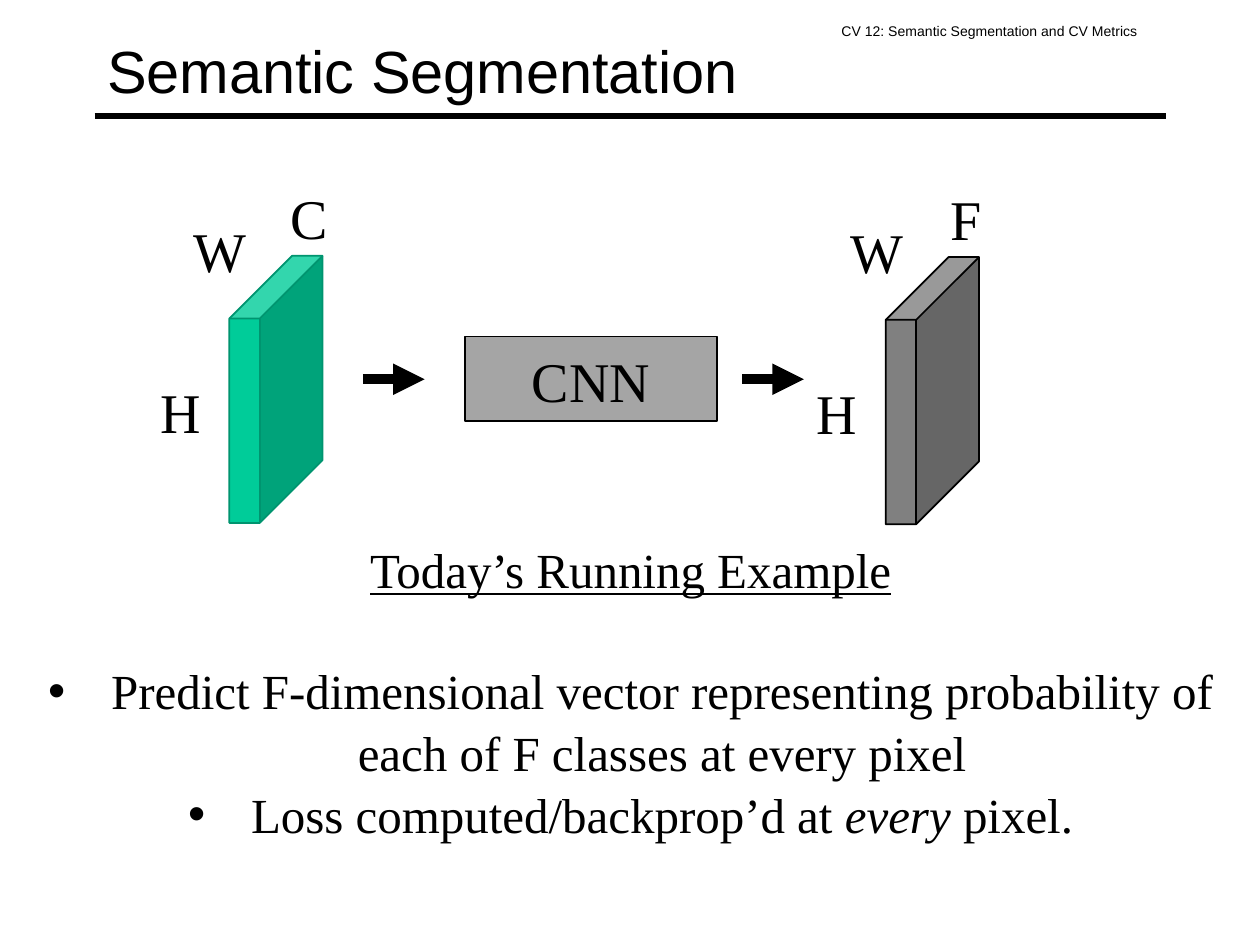
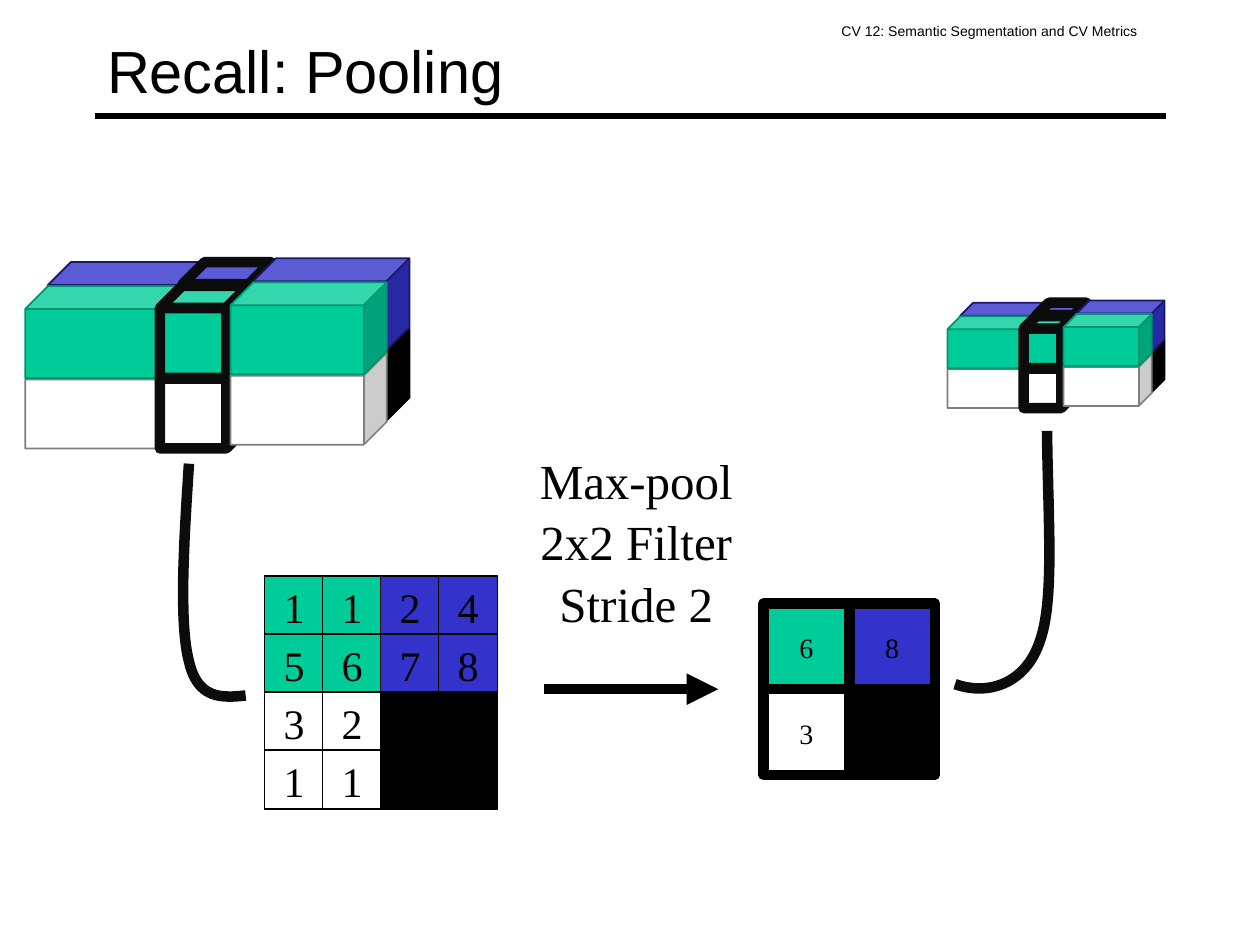
from dataclasses import dataclass

from lxml import etree
from pptx import Presentation
from pptx.dml.color import RGBColor
from pptx.enum.shapes import MSO_CONNECTOR as CONN, MSO_SHAPE as SHAPE
from pptx.enum.text import MSO_ANCHOR as ANCHOR, MSO_AUTO_SIZE as AUTO, PP_ALIGN as ALIGN
from pptx.oxml.ns import qn
from pptx.util import Emu, Pt

PX = 9144
SERIF, SANS = "Times New Roman", "Arial"
BLACK, WHITE, INK = "000000", "FFFFFF", "0C0C0C"
GREEN, BLUE = "00CC99", "3333CC"
EDGE = {GREEN: "00946F", BLUE: "191966", WHITE: "7F7F7F", BLACK: BLACK}
QUADRANTS = ((GREEN, BLUE), (WHITE, BLACK))
HEADER = "CV 12: Semantic Segmentation and CV Metrics"


@dataclass(frozen=True)
class Volume:
    x: int
    y: int
    channels: str
    fill: str
    line: str


@dataclass(frozen=True)
class Grid:
    x: int
    y: int
    pitch: int
    side: int
    size: int
    weight: int
    rows: tuple


@dataclass(frozen=True)
class Stack:
    x: int
    y: int
    scale: float


@dataclass(frozen=True)
class Column:
    dx: int
    dy: int
    width: int
    outlined: bool


VOLUMES = (
    Volume(117, 138, "C", GREEN, EDGE[GREEN]),
    Volume(638, 139, "F", "808080", BLACK),
)
GRIDS = (
    Grid(606, 479, 68, 68, 16, 6, ("68", "3 ")),
    Grid(210, 457, 46, 47, 24, 1, ("1124", "5678", "32  ", "11  ")),
)
STACKS = (Stack(20, 227, 1), Stack(752, 251, 0.565))
COLUMNS = (
    Column(0, 0, 124, False),
    Column(107, 0, 70, True),
    Column(163, -3, 124, False),
)
CURVES = (
    ((150, 368), (146, 431), (142, 494), (150, 525),
     (157, 555), (176, 554), (195, 552)),
    ((758, 543), (783, 552), (813, 544), (825, 510),
     (837, 477), (832, 418), (831, 342)),
)


def px(n: float) -> Emu:
    return Emu(round(n * PX))


def rgb(code: str) -> RGBColor:
    return RGBColor.from_string(code)


def stroke(line, color: str, weight: float) -> None:
    line.color.rgb = rgb(color)
    line.width = Pt(weight)


def add_run(p, text: str, size: int, font: str = SERIF, color: str = BLACK,
            italic: bool = False, underline: bool = False) -> None:
    r = p.add_run()
    r.text = text
    f = r.font
    f.name, f.size, f.italic, f.underline = font, Pt(size), italic, underline
    f.color.rgb = rgb(color)


def write(tf, lines, align=ALIGN.CENTER, anchor=ANCHOR.TOP, inset: int = 5,
          spacing: float = 1.05, **fmt) -> None:
    tf.word_wrap = True
    tf.auto_size = AUTO.NONE
    tf.vertical_anchor = anchor
    tf.margin_left = tf.margin_right = px(10)
    tf.margin_top = tf.margin_bottom = px(inset)
    for i, line in enumerate(lines):
        p = tf.add_paragraph() if i else tf.paragraphs[0]
        p.alignment = align
        p.line_spacing = spacing
        p.space_before = Pt(0)
        add_run(p, line, **fmt)


def place(sp, x: float, y: float, w: float, h: float) -> None:
    sp.left, sp.top, sp.width, sp.height = map(px, (x, y, w, h))


def add_text(s, x: int, y: int, w: int, h: int, *lines: str, **fmt) -> None:
    write(s.shapes.add_textbox(*map(px, (x, y, w, h))).text_frame, lines, **fmt)


def add_box(s, kind, x: float, y: float, w: float, h: float, fill: str,
            line: str, weight: float = 1):
    sp = s.shapes.add_shape(kind, *map(px, (x, y, w, h)))
    sp.shadow.inherit = False
    sp.fill.solid()
    sp.fill.fore_color.rgb = rgb(fill)
    stroke(sp.line, line, weight)
    return sp


def add_cube(s, *box, depth: float = 0.25, **look) -> None:
    add_box(s, SHAPE.CUBE, *box, **look).adjustments[0] = depth


def add_line(s, x1: int, x2: int, y: int, weight: float, arrow: bool = False) -> None:
    c = s.shapes.add_connector(CONN.STRAIGHT, px(x1), px(y), px(x2), px(y))
    stroke(c.line, BLACK, weight)
    if arrow:
        etree.SubElement(c.line._get_or_add_ln(), qn("a:tailEnd"), type="triangle")
    etree.SubElement(c._element.spPr, qn("a:effectLst"))


def bezier(points, t: float) -> tuple[int, int]:
    weights = ((1 - t) ** 3, 3 * t * (1 - t) ** 2, 3 * t * t * (1 - t), t ** 3)
    x, y = (sum(w * p[k] for w, p in zip(weights, points)) for k in (0, 1))
    return px(x), px(y)


def add_curve(s, points, steps: int = 24) -> None:
    samples = [bezier(points[i:i + 4], n / steps)
               for i in range(0, len(points) - 1, 3) for n in range(1, steps + 1)]
    fb = s.shapes.build_freeform(*map(px, points[0]))
    fb.add_line_segments(samples, close=False)
    sp = fb.convert_to_shape()
    sp.shadow.inherit = False
    sp.fill.background()
    stroke(sp.line, INK, 6)


def add_bullet(tf, parts, gap: float = 0) -> None:
    p = tf.add_paragraph()
    p.alignment = ALIGN.CENTER
    p.line_spacing = 1.05
    p.space_before = Pt(gap)
    pPr = p._p.get_or_add_pPr()
    pPr.set("marL", str(px(50)))
    pPr.set("indent", str(px(-50)))
    color = etree.SubElement(pPr, qn("a:buClr"))
    etree.SubElement(color, qn("a:srgbClr"), val=BLACK)
    etree.SubElement(pPr, qn("a:buChar"), char="•")
    for text, italic in parts:
        add_run(p, text, 28, italic=italic)


def add_slide(prs, layout: int, title: str):
    s = prs.slides.add_slide(prs.slide_layouts[layout])
    add_line(s, 75, 925, 92, 3)
    add_text(s, 658, 8, 328, 34, HEADER, align=ALIGN.LEFT, inset=10,
             spacing=1, size=8, font=SANS)
    place(s.shapes.title, 75, 8, 850, 92)
    write(s.shapes.title.text_frame, [title], align=ALIGN.LEFT,
          anchor=ANCHOR.MIDDLE, size=34, font=SANS)
    return s


def draw_volume(s, v: Volume) -> None:
    add_cube(s, v.x + 65, v.y + 65, 74, 212, depth=0.673, fill=v.fill, line=v.line)
    for label, dx, dy in (("H", 0, 154), ("W", 27, 26), (v.channels, 102, 0)):
        add_text(s, v.x + dx, v.y + dy, 53, 64, label, size=32)


def draw_grid(s, g: Grid) -> None:
    half = len(g.rows) // 2
    for i, row in enumerate(g.rows):
        for j, value in enumerate(row):
            sp = add_box(s, SHAPE.RECTANGLE, g.x + j * g.pitch, g.y + i * g.pitch,
                         g.side, g.side, QUADRANTS[i // half][j // half],
                         BLACK, g.weight)
            if value.strip():
                write(sp.text_frame, [value], anchor=ANCHOR.MIDDLE, size=g.size)


def draw_stack(s, st: Stack) -> None:
    layers = ((18, 37, BLACK), (0, 56, WHITE), (18, -19, BLUE), (0, 0, GREEN))
    for c in COLUMNS:
        for dx, dy, fill in layers:
            add_cube(s, st.x + st.scale * (c.dx + dx), st.y + st.scale * (c.dy + dy),
                     st.scale * c.width, st.scale * 73, fill=fill,
                     line=INK if c.outlined else EDGE[fill],
                     weight=6 if c.outlined else 1)


def segmentation_slide(prs) -> None:
    s = add_slide(prs, 1, "Semantic Segmentation")
    for v in VOLUMES:
        draw_volume(s, v)
    for x in (288, 589):
        add_line(s, x, x + 49, 301, 6, arrow=True)
    cnn = add_box(s, SHAPE.RECTANGLE, 369, 267, 200, 67, "A5A5A5", BLACK)
    write(cnn.text_frame, ["CNN"], anchor=ANCHOR.MIDDLE, size=32)

    body = s.placeholders[1]
    place(body, 26, 421, 949, 246)
    tf = body.text_frame
    write(tf, ["Today’s Running Example"], size=28, underline=True)
    pPr = tf.paragraphs[0]._p.get_or_add_pPr()
    pPr.set("marL", "0")
    pPr.set("indent", "0")
    etree.SubElement(pPr, qn("a:buNone"))
    add_bullet(tf, [("Predict F-dimensional vector representing probability of "
                     "each of F classes at every pixel", False)], gap=34)
    add_bullet(tf, [("Loss computed/backprop’d at ", False), ("every", True),
                    (" pixel.", False)])


def pooling_slide(prs) -> None:
    s = add_slide(prs, 5, "Recall: Pooling")
    for st in STACKS:
        draw_stack(s, st)
    for g in GRIDS:
        draw_grid(s, g)
    for points in CURVES:
        add_curve(s, points)
    add_line(s, 432, 570, 547, 6, arrow=True)
    add_text(s, 413, 350, 184, 151, "Max-pool", "2x2 Filter", "Stride 2", size=28)


def main() -> None:
    prs = Presentation()
    prs.slide_width, prs.slide_height = px(1000), px(750)
    segmentation_slide(prs)
    pooling_slide(prs)
    prs.save("out.pptx")


if __name__ == "__main__":
    main()
